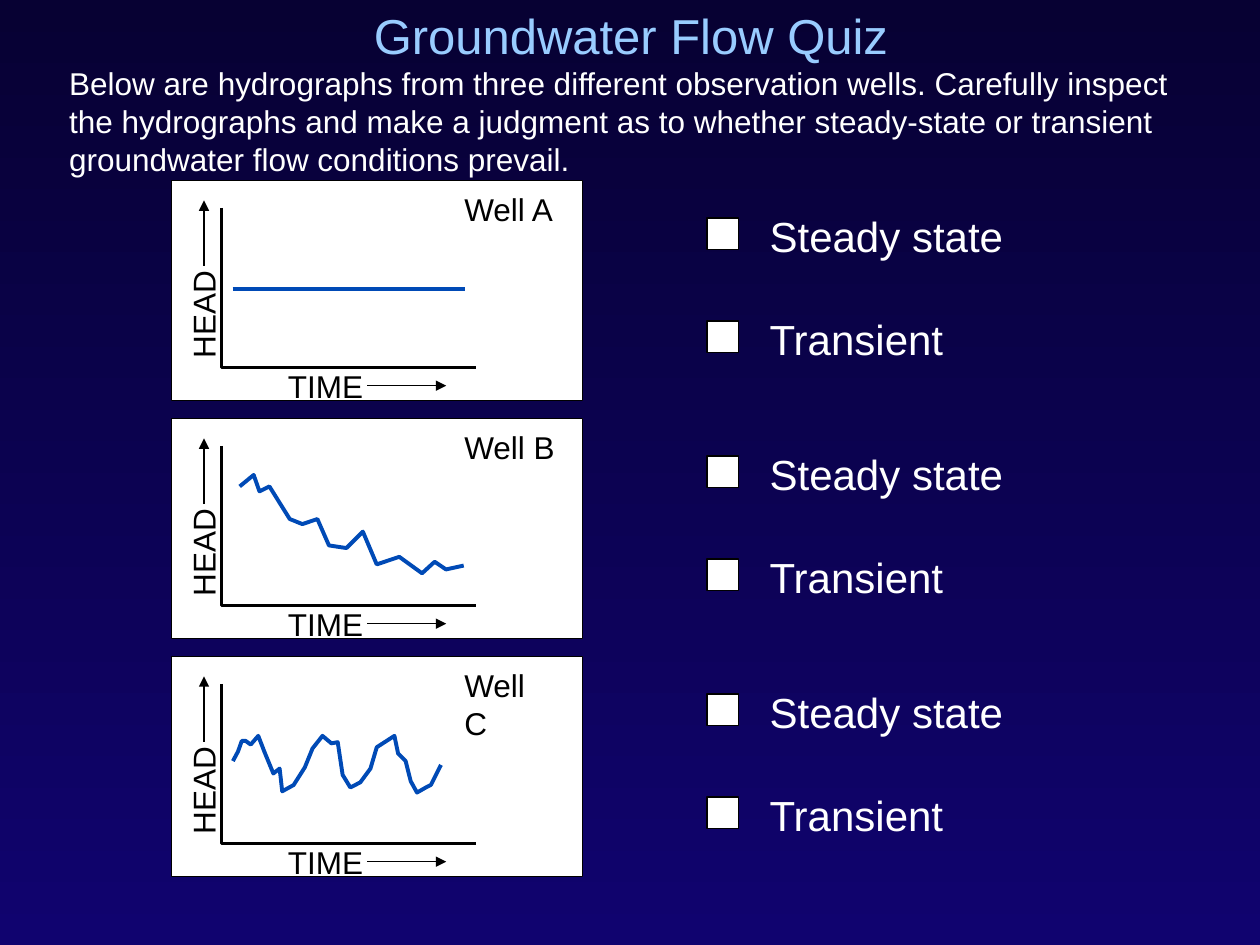
import lxml.etree
import pptx
import pptx.dml.color
import pptx.enum.shapes
import pptx.enum.text
import pptx.oxml.ns
import pptx.util

FONT = "Arial"
WHITE = "FFFFFF"
BLACK = "000000"
BLUE = "004AB6"
TITLE_BLUE = "99CCFF"
FIRST_TOP = 103
WELL_PITCH = 136
CHOICE_PITCH = 58.8

AXES = [(126.7, 15.8), (126.7, 107), (272.2, 107)]
FALLING_HEAD = [
    (137, 39), (145, 32.4), (148.3, 41.8), (154, 39), (165.6, 57.6),
    (172.8, 60.5), (181.4, 57.6), (188, 72.7), (198, 74.2), (207.4, 64.8),
    (215.3, 83.5), (228.2, 79.2), (241.2, 88.6), (248.4, 82),
    (254.9, 86.4), (265, 84.2),
]
CYCLIC_HEAD = [
    (133.1, 59.9), (136, 54.5), (138.2, 48.4), (140.4, 48.4), (143.3, 50.5),
    (147.6, 45.5), (151.2, 54.8), (156.2, 67), (159.8, 64.2), (161.3, 77.2),
    (167.8, 73.6), (174.2, 63.5), (178.6, 52.7), (184.3, 45.5),
    (189.4, 49.8), (193, 49.1), (195.8, 67.8), (200.2, 75), (205.9, 72.1),
    (211.7, 64.2), (215.3, 52), (225.4, 45.5), (227.5, 55.6),
    (231.8, 59.9), (234.7, 71.4), (238.3, 77.9), (243.4, 75),
    (246.2, 73.6), (252, 62.1),
]


def points(*lengths):
    return [pptx.util.Pt(length) for length in lengths]


def color(value):
    return pptx.dml.color.RGBColor.from_string(value)


def write(frame, text, size=18, fill=BLACK, wrap=False, align=None, anchor=None):
    frame.word_wrap = wrap
    frame.vertical_anchor = anchor
    para = frame.paragraphs[0]
    para.alignment = align
    span = para.add_run()
    span.text = text
    span.font.name = FONT
    span.font.size = pptx.util.Pt(size)
    span.font.color.rgb = color(fill)


def add_label(shapes, text, place, rotation=0, **style):
    box = shapes.add_textbox(*points(*place))
    box.rotation = rotation
    write(box.text_frame, text, **style)


def set_line(shape, stroke, width):
    shape.line.color.rgb = color(stroke)
    shape.line.width = pptx.util.Pt(width)


def add_rectangle(shapes, *place):
    box = shapes.add_shape(pptx.enum.shapes.MSO_SHAPE.RECTANGLE, *points(*place))
    box.shadow.inherit = False
    box.fill.solid()
    box.fill.fore_color.rgb = color(WHITE)
    set_line(box, BLACK, 0.75)


def add_line(shapes, start, end, stroke=BLACK, width=0.75, arrow=False):
    line = shapes.add_connector(
        pptx.enum.shapes.MSO_CONNECTOR.STRAIGHT, *points(*start, *end)
    )
    set_line(line, stroke, width)
    properties = line.element.spPr
    qn = pptx.oxml.ns.qn
    if arrow:
        outline = properties.find(qn("a:ln"))
        lxml.etree.SubElement(outline, qn("a:tailEnd"), type="triangle")
    lxml.etree.SubElement(properties, qn("a:effectLst"))


def add_path(shapes, vertices, top, stroke, width):
    placed = [points(x, top + y) for x, y in vertices]
    builder = shapes.build_freeform(*placed[0])
    builder.add_line_segments(placed[1:], close=False)
    path = builder.convert_to_shape()
    path.shadow.inherit = False
    path.fill.background()
    set_line(path, stroke, width)


def add_hydrograph(shapes, name, top):
    add_rectangle(shapes, 98, top, 235, 126)
    add_path(shapes, AXES, top, BLACK, 1.5)
    add_label(shapes, name, (258.3, top + 2, 66.5, 29))
    add_label(shapes, "TIME", (157.5, top + 103, 57.5, 29))
    add_line(shapes, (210, top + 117.4), (255, top + 117.4), arrow=True)
    add_label(shapes, "HEAD", (83.7, top + 62, 65, 29), rotation=270)
    add_line(shapes, (116.6, top + 49), (116.6, top + 11.5), arrow=True)


def add_choices(shapes, top):
    for index, (text, width) in enumerate([("Steady state", 147.6), ("Transient", 114.5)]):
        choice_top = top + index * CHOICE_PITCH
        add_rectangle(shapes, 404, choice_top + 21.6, 18, 18)
        add_label(shapes, text, (432.7, choice_top + 13.7, width, 36), size=24, fill=WHITE)


def add_title(page, text):
    title = page.shapes.title
    title.left, title.top, title.width, title.height = points(183, 0, 355, 39.6)
    write(
        title.text_frame, text, size=28, fill=TITLE_BLUE, wrap=True,
        align=pptx.enum.text.PP_ALIGN.CENTER,
        anchor=pptx.enum.text.MSO_ANCHOR.MIDDLE,
    )


def set_background(page, *stops):
    fill = page.background.fill
    fill.gradient()
    fill.gradient_angle = 270
    for stop, value in zip(fill.gradient_stops, stops):
        stop.color.rgb = color(value)


def main():
    deck = pptx.Presentation()
    deck.slide_width, deck.slide_height = points(720, 540)
    page = deck.slides.add_slide(deck.slide_layouts[5])
    set_background(page, "070133", "10036F")
    add_title(page, "Groundwater Flow Quiz")
    add_label(
        page.shapes,
        "Below are hydrographs from three different observation wells. "
        "Carefully inspect the hydrographs and make a judgment as to whether "
        "steady-state or transient groundwater flow conditions prevail.",
        (32.4, 33.1, 657.4, 72), fill=WHITE, wrap=True,
    )
    wells = [("Well A", None), ("Well B", FALLING_HEAD), ("Well C", CYCLIC_HEAD)]
    for index, (name, heads) in enumerate(wells):
        top = FIRST_TOP + index * WELL_PITCH
        shapes = page.shapes.add_group_shape().shapes
        add_hydrograph(shapes, name, top)
        if heads:
            add_path(shapes, heads, top, BLUE, 2.25)
        else:
            add_line(shapes, (133, top + 62), (265.7, top + 62), BLUE, 2.25)
        add_choices(shapes, top)
    deck.save("out.pptx")


if __name__ == "__main__":
    main()
